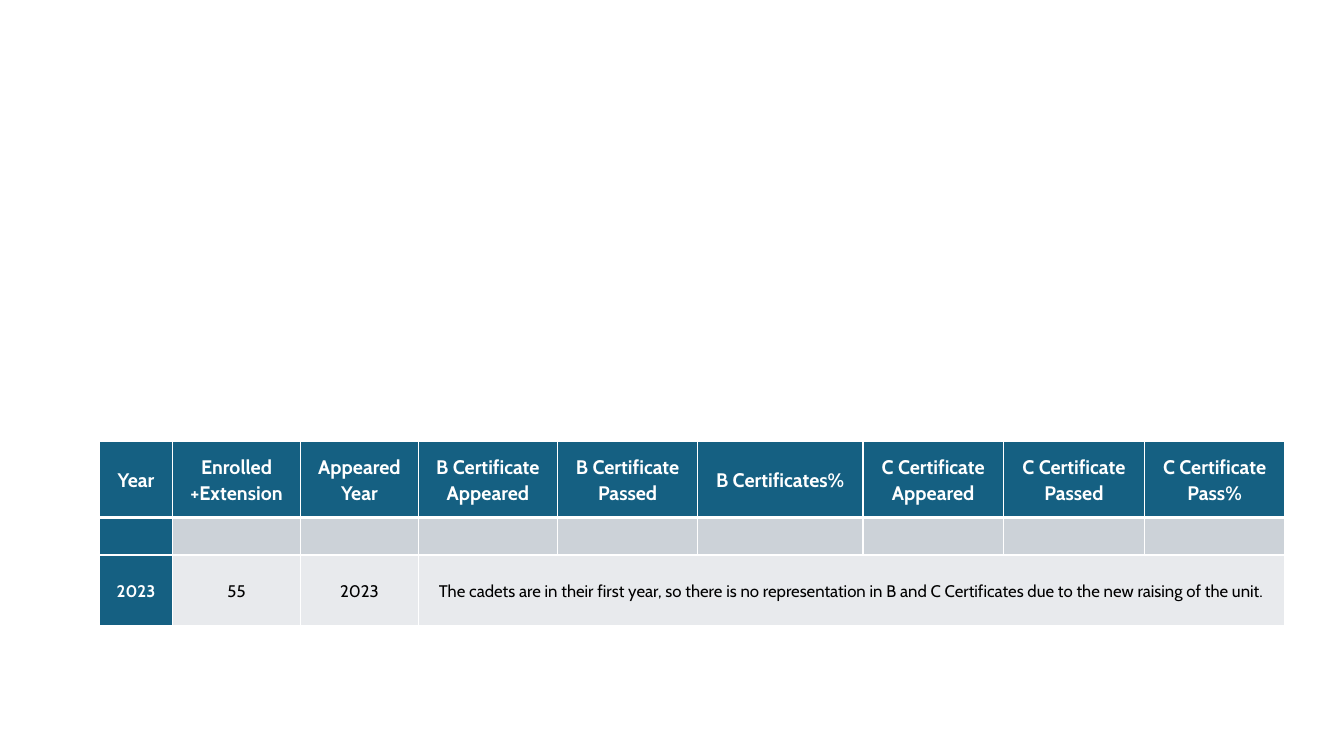
from lxml import etree
from pptx import Presentation
from pptx.dml.color import RGBColor
from pptx.enum.shapes import MSO_SHAPE
from pptx.enum.text import MSO_ANCHOR, PP_ALIGN
from pptx.oxml.ns import qn
from pptx.util import Pt

RECT = MSO_SHAPE.RECTANGLE
CENTER = PP_ALIGN.CENTER
MIDDLE = MSO_ANCHOR.MIDDLE

COLORS = {"blue": "156082", "grey": "CCD2D8", "pale": "E8EAED",
          "white": "FFFFFF", "black": "000000"}

COL_WIDTHS = [51.8, 91.8, 83.8, 99.8, 99.8, 118.2, 100.5, 100.5, 100.5]
ROW_HEIGHTS = [54.2, 26.9, 50.4]
ROWS = [
    ["Year", "Enrolled +Extension", "Appeared Year",
     "B Certificate Appeared", "B Certificate Passed", "B Certificates%",
     "C Certificate Appeared", "C Certificate Passed", "C Certificate Pass%"],
    [""] * 9,
    ["2023", "55", "2023",
     "The cadets are in their first year, so there is no representation in "
     "B and C Certificates due to the new raising of the unit."] + [""] * 5,
]
BODY_FILLS = [None, "grey", "pale"]


def add_border(cell, side, width):
    ln = etree.SubElement(cell._tc.get_or_add_tcPr(), qn(f"a:ln{side}"), w=str(Pt(width)))
    fill = etree.SubElement(ln, qn("a:solidFill"))
    etree.SubElement(fill, qn("a:srgbClr"), val=COLORS["white"])


prs = Presentation()
prs.slide_width, prs.slide_height = Pt(960), Pt(540)
s = prs.slides.add_slide(prs.slide_layouts[6])

# White header band
sp = s.shapes.add_shape(RECT, 0, 0, Pt(960), Pt(200))
sp.shadow.inherit = False
sp.fill.solid()
sp.fill.fore_color.rgb = RGBColor.from_string(COLORS["white"])
sp.line.fill.background()

# Certificate table
frame = s.shapes.add_table(len(ROWS), len(COL_WIDTHS), Pt(71.3), Pt(315.4),
                           Pt(sum(COL_WIDTHS)), Pt(sum(ROW_HEIGHTS)))
table = frame.table
for col, width in zip(table.columns, COL_WIDTHS):
    col.width = Pt(width)
for row, height in zip(table.rows, ROW_HEIGHTS):
    row.height = Pt(height)

# Cells: blue header row and year column, grey body
for i, texts in enumerate(ROWS):
    for j, text in enumerate(texts):
        cell = table.cell(i, j)
        strong = i == 0 or j == 0
        for side in "LRTB":
            thick = (i, side) in [(0, "B"), (1, "T")]
            add_border(cell, side, 3 if thick else 1)
        cell.fill.solid()
        fill = "blue" if strong else BODY_FILLS[i]
        cell.fill.fore_color.rgb = RGBColor.from_string(COLORS[fill])
        cell.vertical_anchor = MIDDLE
        cell.margin_left = cell.margin_right = Pt(6.5)
        cell.margin_top = cell.margin_bottom = 0
        if not text:
            continue
        p = cell.text_frame.paragraphs[0]
        paragraph_format = {"alignment": CENTER, "line_spacing": 1.07, "space_after": Pt(8)}
        for name, value in paragraph_format.items():
            setattr(p, name, value)
        r = p.add_run()
        r.text = text
        run_format = {"name": "Cabin", "size": Pt(14 if i == 0 else 12), "bold": strong}
        for name, value in run_format.items():
            setattr(r.font, name, value)
        r.font.color.rgb = RGBColor.from_string(COLORS["white" if strong else "black"])

# The remark spans all certificate columns
table.cell(2, 3).merge(table.cell(2, 8))

prs.save("out.pptx")
